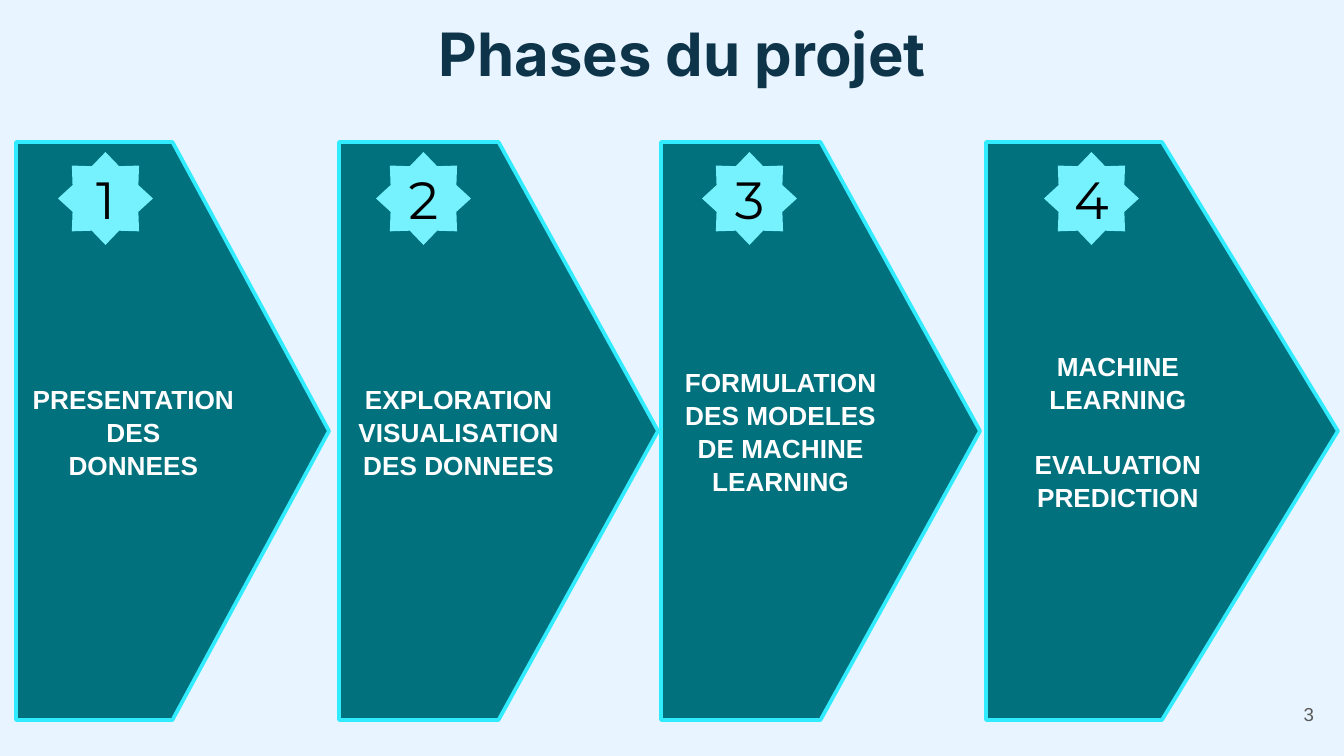
from pptx import Presentation
from pptx.dml.color import RGBColor
from pptx.enum.shapes import MSO_SHAPE as Shape
from pptx.enum.text import MSO_ANCHOR as Anchor, PP_ALIGN as Align
from pptx.util import Pt

EMU_PER_PIXEL = 914400 / 134.4
PHASE_TOP, PHASE_HEIGHT = 142, 578
STAR_TOP, STAR_WIDTH, STAR_HEIGHT = 152, 95, 93

TITLE = {"size": 32, "name": "Inter", "color": "0E3449", "bold": True}
LABEL = {"size": 14, "name": "Arial", "color": "FFFFFF", "bold": True}
NUMBER = {"size": 28, "name": "Montserrat", "color": "000000", "bold": False}
PAGE_NUMBER = {"size": 10, "name": "Arial", "color": "595959", "bold": False}

# Arrow left, arrow width, star left, paragraphs, space between paragraphs
PHASES = [
    (16, 313, 58, ["PRESENTATION DES", "DONNEES"], 0),
    (339, 319, 376, ["EXPLORATION VISUALISATION", "DES DONNEES"], 0),
    (661, 319, 702, ["FORMULATION DES MODELES DE MACHINE LEARNING"], 0),
    (986, 352, 1044, ["MACHINE LEARNING", "EVALUATION PREDICTION"], 17),
]


def px(*pixels):
    """Turn pixel lengths into a list of EMU lengths."""
    return [round(pixel * EMU_PER_PIXEL) for pixel in pixels]


def rgb(color):
    """Turn a hex string into a colour."""
    return RGBColor.from_string(color)


def write(box, texts, style, align=Align.CENTER, anchor=Anchor.MIDDLE,
          inset=(13, 7), spacing=1.0, gap=0):
    """Write one paragraph per text into a box."""
    across, down = px(*inset)
    frame_format = {
        "word_wrap": True, "vertical_anchor": anchor,
        "margin_left": across, "margin_right": across,
        "margin_top": down, "margin_bottom": down,
    }
    frame = box.text_frame
    for name, value in frame_format.items():
        setattr(frame, name, value)
    for index, text in enumerate(texts):
        para = frame.add_paragraph() if index else frame.paragraphs[0]
        para_format = {"alignment": align, "line_spacing": spacing,
                       "space_before": Pt(gap if index else 0)}
        for name, value in para_format.items():
            setattr(para, name, value)
        span = para.add_run()
        span.text = text
        font_format = {"size": Pt(style["size"]), "name": style["name"],
                       "bold": style["bold"]}
        for name, value in font_format.items():
            setattr(span.font, name, value)
        span.font.color.rgb = rgb(style["color"])


def add_text(page, area, text, style, **layout):
    """Add a text box with one paragraph."""
    box = page.shapes.add_textbox(*px(*area))
    write(box, [text], style, inset=(13, 13), **layout)


def add_filled(page, kind, area, fill, line=None):
    """Add a preset shape with a plain fill and an optional outline."""
    shape = page.shapes.add_shape(kind, *px(*area))
    shape.shadow.inherit = False
    shape.fill.solid()
    shape.fill.fore_color.rgb = rgb(fill)
    if line:
        shape.line.color.rgb = rgb(line)
        shape.line.width = Pt(2)
    else:
        shape.line.fill.background()
    return shape


def add_phase(page, number, left, width, star_left, texts, gap):
    """Add a phase arrow with its numbered star."""
    arrow = add_filled(page, Shape.PENTAGON,
                       (left, PHASE_TOP, width, PHASE_HEIGHT),
                       "00717D", "31EBFF")
    write(arrow, texts, LABEL, spacing=1.05, gap=gap)
    star = add_filled(page, Shape.STAR_8_POINT,
                      (star_left, STAR_TOP, STAR_WIDTH, STAR_HEIGHT), "76F2FF")
    write(star, [str(number)], NUMBER, inset=(0, 0))


def main():
    """Build the deck and save it."""
    deck = Presentation()
    deck.slide_width, deck.slide_height = px(1344, 756)
    page = deck.slides.add_slide(deck.slide_layouts[6])
    page.background.fill.solid()
    page.background.fill.fore_color.rgb = rgb("E8F4FF")
    add_text(page, (128, 0, 1109, 79), "Phases du projet", TITLE,
             anchor=Anchor.TOP, spacing=1.05)
    for number, phase in enumerate(PHASES, start=1):
        add_phase(page, number, *phase)
    add_text(page, (1246, 685, 81, 58), "3", PAGE_NUMBER, align=Align.RIGHT)
    deck.save("out.pptx")


main()
